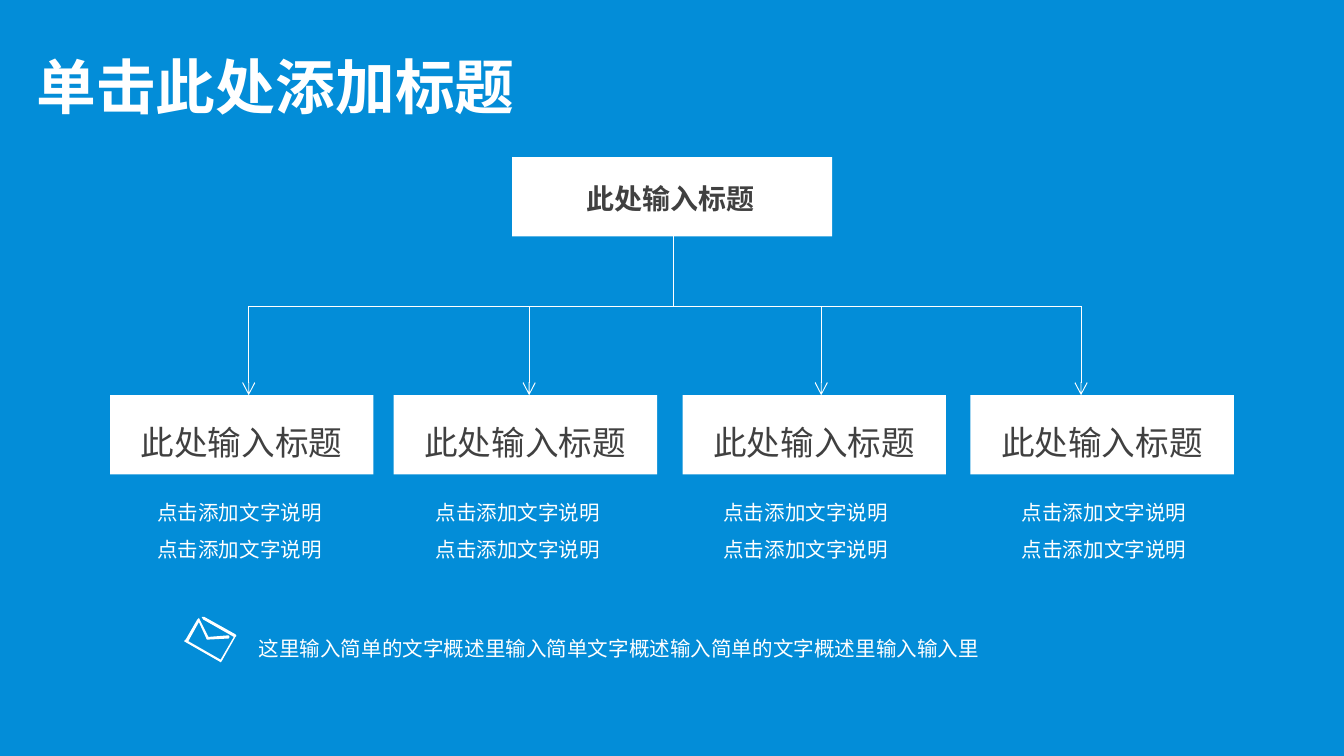
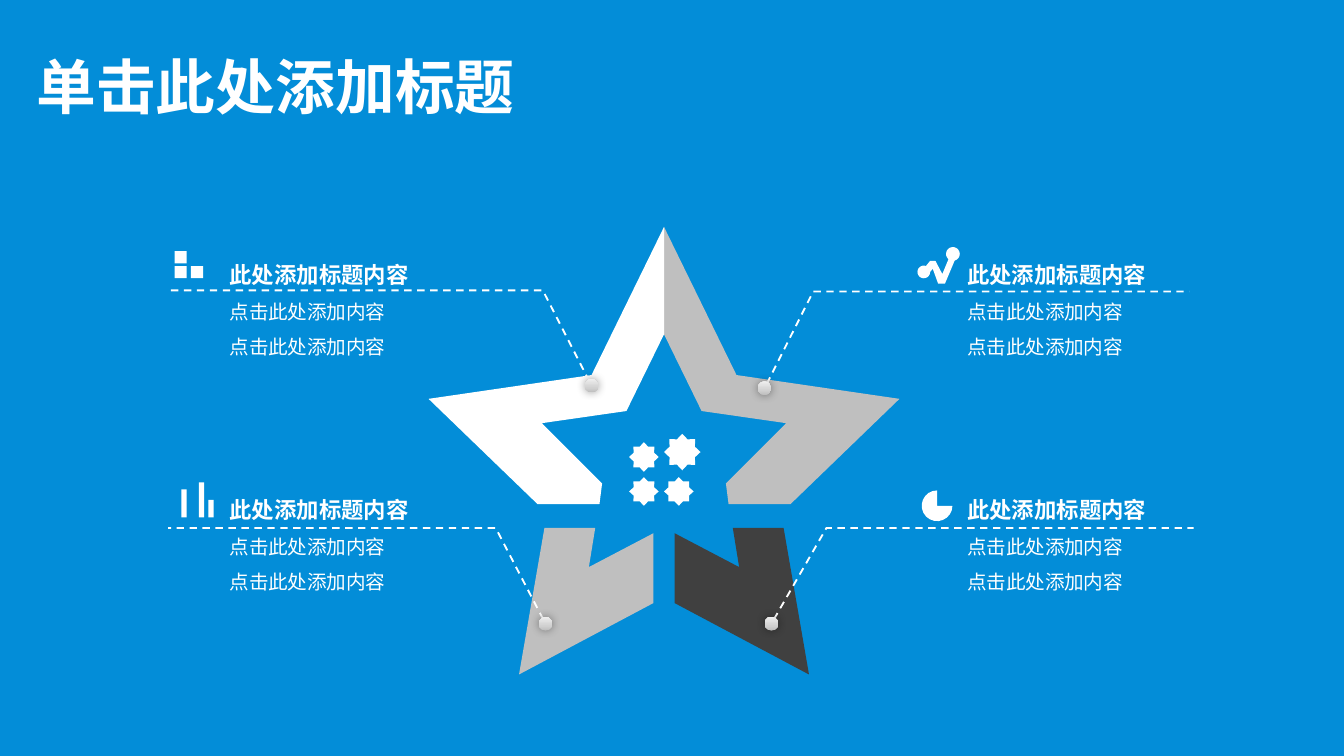
from dataclasses import dataclass
from math import cos, radians, sin

from lxml.etree import SubElement
from pptx import Presentation
from pptx.dml.color import RGBColor
from pptx.enum.dml import MSO_LINE
from pptx.enum.shapes import MSO_CONNECTOR, MSO_SHAPE
from pptx.enum.text import MSO_ANCHOR, MSO_AUTO_SIZE, PP_ALIGN
from pptx.oxml import parse_xml
from pptx.oxml.ns import nsdecls, qn
from pptx.util import Cm, Pt

BLUE = RGBColor(0x03, 0x8D, 0xD8)
WHITE = RGBColor(0xFF, 0xFF, 0xFF)
GREY = RGBColor(0xBF, 0xBF, 0xBF)
DARK = RGBColor(0x40, 0x40, 0x40)
SANS = "Noto Sans CJK SC"
TIGHT = (0.19, 0.1)
LOOSE = (0.25, 0.13)

Point = tuple[float, float]
Box = tuple[float, float, float, float]


@dataclass
class Style:
    size: float
    color: RGBColor = WHITE
    bold: bool = False
    face: str = SANS


@dataclass
class Branch:
    left: float
    arrow: float
    note: float


@dataclass
class Callout:
    text: Box
    lead: list[Point]


HEAD = Style(32, bold=True, face="Arial")
ROOT = Style(15, DARK, True)
NODE = Style(18, DARK)
NOTE = Style(11)
TOPIC = Style(12, bold=True)
BODY = Style(10.5)

BRANCHES = [
    Branch(2.08, 4.7, 1.9),
    Branch(7.44, 10.0, 7.16),
    Branch(12.9, 15.52, 12.6),
    Branch(18.34, 20.43, 18.24),
]
MAIL = [
    (3.84, 11.71), (3.81, 11.66), (3.86, 11.66), (4.45, 11.99), (4.47, 12.02),
    (4.45, 12.04), (4.19, 12.5), (4.17, 12.52), (4.14, 12.5), (3.51, 12.14),
    (3.48, 12.12), (3.51, 12.09), (3.73, 11.71), (3.76, 11.68), (3.94, 12.04),
    (4.32, 12.01), (4.34, 12.04), (4.32, 12.07), (3.94, 12.09), (3.91, 12.09),
    (3.76, 11.76), (3.56, 12.12), (4.17, 12.47), (4.42, 12.04),
]

# Star arms as distances from the star's axis
AXIS = 12.55
UPPER = [(1.37, 7.09), (0, 4.29), (0, 6.32), (0.71, 7.77), (2.31, 8),
         (1.17, 9.14), (1.22, 9.53), (2.39, 9.53), (4.45, 7.54)]
LOWER = [(0.2, 10.08), (0.2, 11.4), (2.74, 12.75), (2.26, 9.98),
         (1.3, 9.98), (1.42, 10.72)]
ARMS = [(LOWER, 1, DARK), (LOWER, -1, GREY), (UPPER, 1, GREY), (UPPER, -1, WHITE)]
STARS = [(11.89, 8.36, 0.56, 0.56), (12.55, 8.2, 0.69, 0.69),
         (11.89, 9.02, 0.56, 0.54), (12.55, 9.02, 0.56, 0.54)]
CALLOUTS = [
    Callout((18.03, 4.55, 5.05, 3.63), [(14.45, 7.34), (15.37, 5.51), (22.48, 5.51)]),
    Callout((4.09, 4.55, 5.05, 3.63), [(11.18, 7.29), (10.26, 5.49), (3.15, 5.49)]),
    Callout((4.09, 8.99, 5.05, 2.82), [(10.31, 11.79), (9.37, 9.98), (3.18, 9.98)]),
    Callout((18.03, 8.99, 5.05, 3.78), [(14.58, 11.79), (15.62, 9.98), (22.56, 9.98)]),
]
TILE = 0.23
TILES = [(3.3, 4.75), (3.3, 5.03), (3.61, 5.03)]
BASE = 9.78
BARS = [(3.43, 9.25), (3.76, 9.12), (3.94, 9.45)]
DOT = 0.26


def place(box: Box) -> list[Cm]:
    return [Cm(v) for v in box]


def fill_text(frame, lines: list[tuple[str, Style]], align, space=None,
              inset: Point = LOOSE) -> None:
    frame.margin_left = frame.margin_right = Cm(inset[0])
    frame.margin_top = frame.margin_bottom = Cm(inset[1])
    frame.text = "\n".join(text for text, _ in lines)
    for para, (_, style) in zip(frame.paragraphs, lines):
        para.alignment = align
        para.line_spacing = space
        for run in para.runs:
            font = run.font
            font.name, font.size, font.bold = style.face, Pt(style.size), style.bold
            font.color.rgb = style.color
            SubElement(font._element, qn("a:ea")).set("typeface", SANS)


def add_text(slide, box: Box, lines, align, space=None, inset: Point = LOOSE,
             wrap: bool = True) -> None:
    frame = slide.shapes.add_textbox(*place(box)).text_frame
    frame.word_wrap = wrap
    frame.auto_size = MSO_AUTO_SIZE.SHAPE_TO_FIT_TEXT
    fill_text(frame, lines, align, space, inset)


def paint(shape, color: RGBColor) -> None:
    shape.shadow.inherit = False
    shape.fill.solid()
    shape.fill.fore_color.rgb = color
    shape.line.fill.background()


def add_block(slide, box: Box, kind=MSO_SHAPE.RECTANGLE) -> None:
    paint(slide.shapes.add_shape(kind, *place(box)), WHITE)


def trace(slide, points: list[Point], close: bool = True):
    """Build a straight-edged outline through the points."""
    first, *rest = [(Cm(x), Cm(y)) for x, y in points]
    pen = slide.shapes.build_freeform(*first)
    pen.add_line_segments(rest, close=close)
    return pen.convert_to_shape()


def arc(x: float, y: float, size: float, start: int, end: int) -> list[Point]:
    """Points on a circle, with angles in degrees clockwise from the right."""
    steps = 16
    turns = [radians(start + (end - start) * i / steps) for i in range(steps + 1)]
    return [(x + size * cos(t), y + size * sin(t)) for t in turns]


def add_line(slide, start: Point, end: Point, arrow: bool = False) -> None:
    line = slide.shapes.add_connector(MSO_CONNECTOR.STRAIGHT, *place(start + end))
    line.line.color.rgb = WHITE
    line.line.width = Pt(0.5)
    props = line.element.spPr
    if arrow:
        SubElement(props.find(qn("a:ln")), qn("a:tailEnd")).set("type", "arrow")
    SubElement(props, qn("a:effectLst"))


def add_lead(slide, points: list[Point]) -> None:
    shape = trace(slide, points, close=False)
    shape.shadow.inherit = False
    shape.fill.background()
    shape.line.color.rgb = WHITE
    shape.line.width = Pt(1)
    shape.line.dash_style = MSO_LINE.DASH
    SubElement(shape.element.spPr.find(qn("a:ln")), qn("a:headEnd")).set("type", "oval")


def add_dot(slide, x: float, y: float) -> None:
    """Add a shaded, softly shadowed dot centred on the point."""
    box = (x - DOT / 2, y - DOT / 2, DOT, DOT)
    shape = slide.shapes.add_shape(MSO_SHAPE.OVAL, *place(box))
    props = shape.element.spPr
    stops = "".join(
        f'<a:gs pos="{pos}000"><a:srgbClr val="{tone}"/></a:gs>'
        for pos, tone in ((0, "BDBDBD"), (35, "D1D1D1"), (100, "EEEEEE")))
    props.append(parse_xml(
        f'<a:gradFill {nsdecls("a")}><a:gsLst>{stops}</a:gsLst>'
        '<a:lin ang="16200000" scaled="0"/></a:gradFill>'))
    shape.line.fill.background()
    props.append(parse_xml(
        f'<a:effectLst {nsdecls("a")}><a:outerShdw blurRad="{Pt(5)}" dist="0" dir="0">'
        '<a:srgbClr val="000000"><a:alpha val="40000"/></a:srgbClr>'
        '</a:outerShdw></a:effectLst>'))


def new_slide(deck):
    slide = deck.slides.add_slide(deck.slide_layouts[5])
    title = slide.shapes.title
    title.left, title.top, title.width, title.height = place((0.5, 0.76, 21.9, 1.88))
    frame = title.text_frame
    frame.word_wrap = True
    frame.auto_size = MSO_AUTO_SIZE.NONE
    frame.vertical_anchor = MSO_ANCHOR.MIDDLE
    fill_text(frame, [("单击此处添加标题", HEAD)], PP_ALIGN.LEFT, 0.9, TIGHT)
    return slide


def draw_tree(slide) -> None:
    rail, top, high = 5.79, 7.47, 1.5
    stem = 12.73
    name = "此处输入标题"
    add_line(slide, (BRANCHES[0].arrow, rail), (BRANCHES[-1].arrow, rail))
    for item in BRANCHES:
        add_line(slide, (item.arrow, rail), (item.arrow, top), arrow=True)
    add_line(slide, (stem, 4.47), (stem, rail))
    for item in BRANCHES:
        add_text(slide, (item.note, 9.12, 5.26, 1.6), [("点击添加文字说明", NOTE)] * 2,
                 PP_ALIGN.CENTER, 1.5, TIGHT)
    add_text(slide, (4.7, 11.68, 17.02, 0.81),
             [("这里输入简单的文字概述里输入简单文字概述输入简单的文字概述里输入输入里", NOTE)],
             PP_ALIGN.LEFT, 1.5, TIGHT)
    add_block(slide, (9.68, 2.97, 6.05, high))
    add_text(slide, (10.82, 3.3, 3.71, 0.89), [(name, ROOT)], PP_ALIGN.CENTER, wrap=False)
    for item in BRANCHES:
        add_block(slide, (item.left, top, 4.98, high))
        add_text(slide, (item.left + 0.3, top + 0.38, 4.37, 1.02), [(name, NODE)],
                 PP_ALIGN.CENTER, wrap=False)
    paint(trace(slide, MAIL), WHITE)


def draw_icons(slide) -> None:
    trend = (arc(18.01, 4.8, 0.13, 75, -230)
             + [(17.81, 5.18), (17.68, 4.93), (17.58, 4.93)]
             + arc(17.46, 5.14, 0.12, -70, -360)
             + [(17.63, 5.08), (17.73, 5.36), (17.86, 5.36)])
    paint(trace(slide, trend), WHITE)
    for x, y in TILES:
        add_block(slide, (x, y, TILE, TILE))
    hub = (17.71, 9.56)
    paint(trace(slide, arc(*hub, 0.29, -90, -360) + [hub]), WHITE)
    for x, y in BARS:
        add_block(slide, (x, y, 0.1, BASE - y))


def draw_star(slide) -> None:
    for arm, side, color in ARMS:
        paint(trace(slide, [(AXIS + side * x, y) for x, y in arm]), color)
    for box in STARS:
        add_block(slide, box, MSO_SHAPE.STAR_8_POINT)
    lines = [("此处添加标题内容", TOPIC)] + [("点击此处添加内容", BODY)] * 2
    for item in CALLOUTS:
        add_text(slide, item.text, lines, PP_ALIGN.JUSTIFY, 1.5)
        add_lead(slide, item.lead)
    draw_icons(slide)
    for item in CALLOUTS:
        add_dot(slide, *item.lead[0])


def main() -> None:
    deck = Presentation()
    deck.slide_width, deck.slide_height = Cm(25.4), Cm(14.29)
    back = deck.slide_master.background.fill
    back.solid()
    back.fore_color.rgb = BLUE
    draw_tree(new_slide(deck))
    draw_star(new_slide(deck))
    deck.save("out.pptx")


if __name__ == "__main__":
    main()
